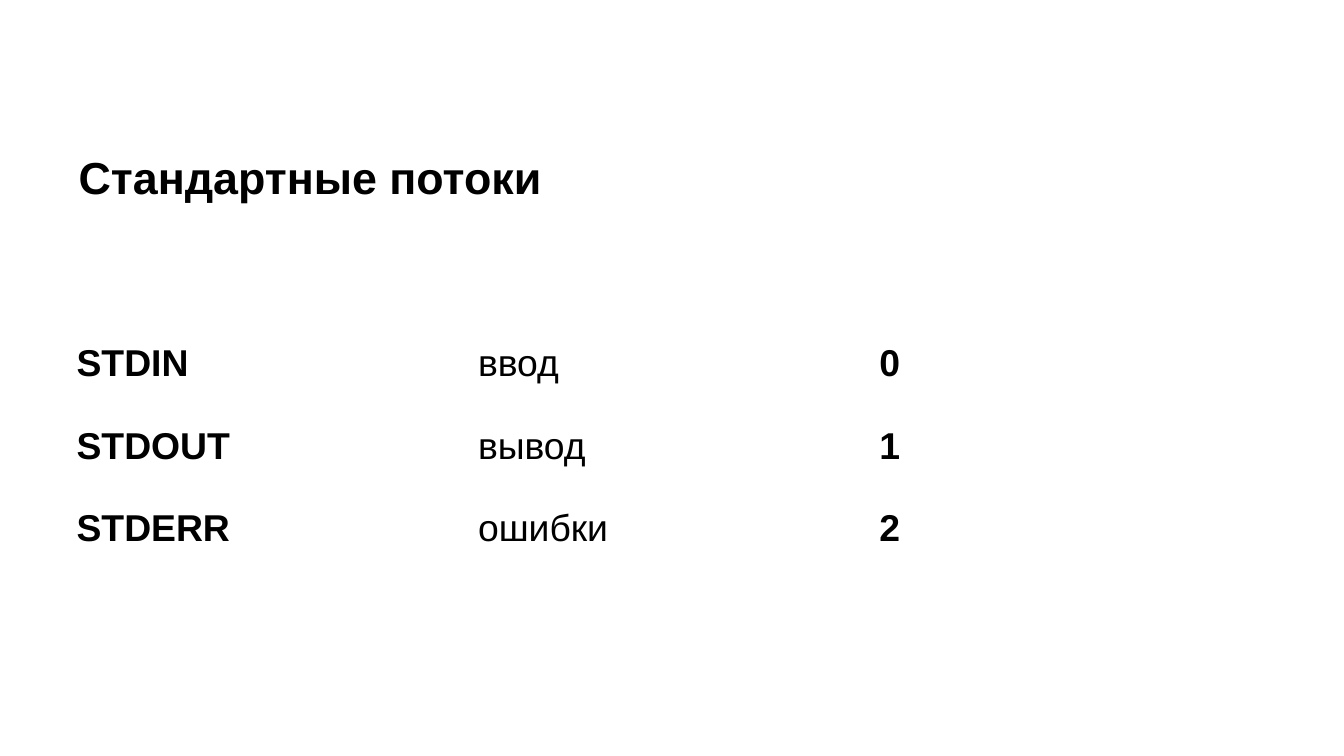
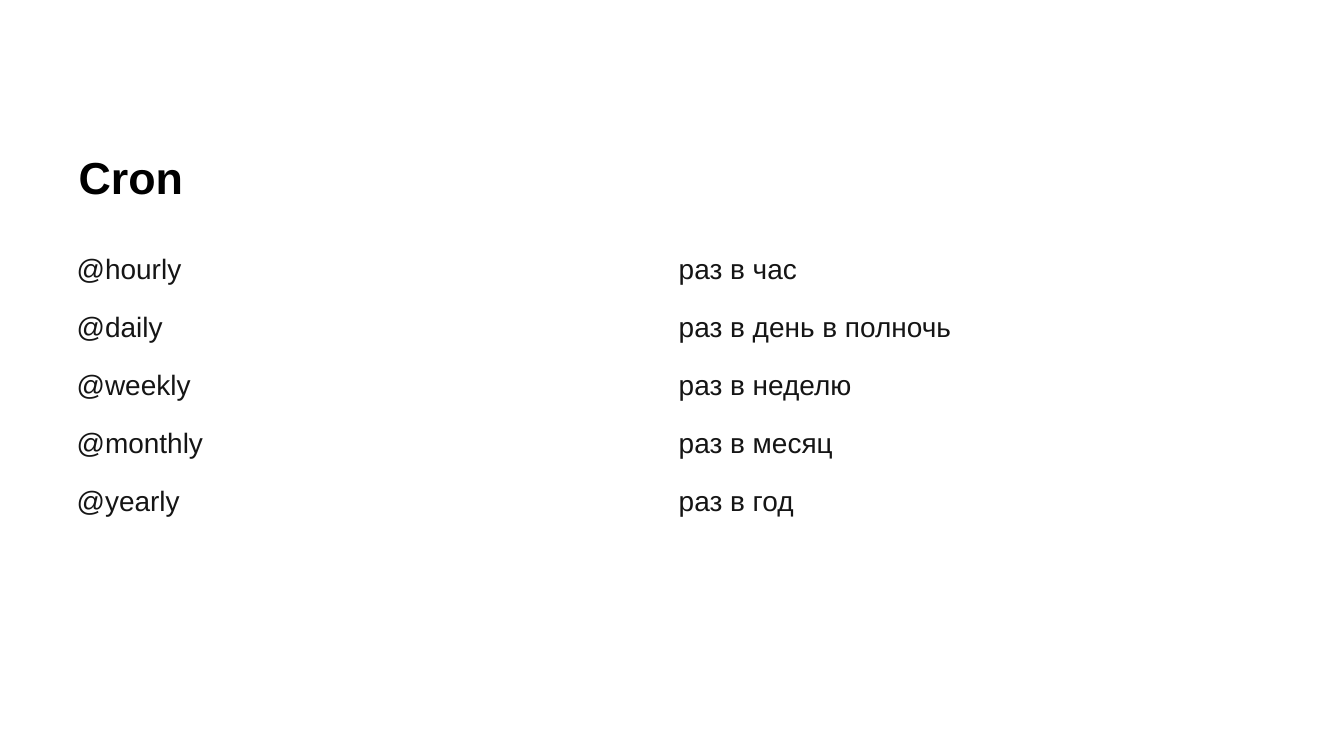
"""Builds two slides that pair a title with a plain reference table."""

import dataclasses
import typing

import pptx
import pptx.dml.color
import pptx.enum.text
import pptx.presentation
import pptx.slide
import pptx.text.text
import pptx.util
from pptx.util import Inches


@dataclasses.dataclass(frozen=True)
class TextStyle:
    size: int
    color: str
    line_spacing: typing.Optional[float] = None
    space_after: int = 0


@dataclasses.dataclass(frozen=True)
class Theme:
    font: str = "Arial"
    title: TextStyle = TextStyle(48, "000000")
    streams: TextStyle = TextStyle(40, "000000")
    schedule: TextStyle = TextStyle(30, "151515", line_spacing=1.43, space_after=8)


@dataclasses.dataclass(frozen=True)
class ReferenceTable:
    title: str
    top: float
    row_height: float
    style: TextStyle
    rows: tuple[tuple[str, ...], ...]
    bold_columns: tuple[int, ...] = ()


THEME = Theme()
TABLE_LEFT = Inches(1.04)
TABLE_WIDTH = Inches(17.92)
CELL_MARGIN = Inches(0.1)

STREAMS = ReferenceTable(
    title="Стандартные потоки",
    top=5,
    row_height=1.23,
    style=THEME.streams,
    rows=(("STDIN", "ввод", "0"), ("STDOUT", "вывод", "1"), ("STDERR", "ошибки", "2")),
    bold_columns=(0, 2),
)
SCHEDULE = ReferenceTable(
    title="Сron",
    top=3.48,
    row_height=0.42,
    style=THEME.schedule,
    rows=(
        ("@hourly", "раз в час"),
        ("@daily", "раз в день в полночь"),
        ("@weekly", "раз в неделю"),
        ("@monthly", "раз в месяц"),
        ("@yearly", "раз в год"),
    ),
)


def write_text(frame: pptx.text.text.TextFrame, text: str, style: TextStyle, bold: bool) -> None:
    frame.text = text
    paragraph = frame.paragraphs[0]
    paragraph.alignment = pptx.enum.text.PP_ALIGN.LEFT
    if style.line_spacing:
        paragraph.line_spacing = style.line_spacing
    paragraph.space_after = pptx.util.Pt(style.space_after)
    for run in paragraph.runs:
        run.font.name = THEME.font
        run.font.size = pptx.util.Pt(style.size)
        run.font.bold = bold
        run.font.color.rgb = pptx.dml.color.RGBColor.from_string(style.color)


def add_title(slide: pptx.slide.Slide, text: str) -> None:
    title = slide.shapes.title
    title.left, title.top = Inches(1.17), Inches(2.23)
    title.width, title.height = Inches(17.44), Inches(1.61)
    frame = title.text_frame
    frame.margin_left = frame.margin_right = frame.margin_top = frame.margin_bottom = 0
    frame.vertical_anchor = pptx.enum.text.MSO_ANCHOR.TOP
    frame.auto_size = pptx.enum.text.MSO_AUTO_SIZE.NONE
    frame.word_wrap = True
    write_text(frame, text, THEME.title, bold=True)


def add_reference_table(slide: pptx.slide.Slide, reference: ReferenceTable) -> None:
    row_height = Inches(reference.row_height)
    table = slide.shapes.add_table(
        len(reference.rows), len(reference.rows[0]), TABLE_LEFT, Inches(reference.top),
        TABLE_WIDTH, row_height * len(reference.rows),
    ).table
    table.first_row = False
    table.horz_banding = False
    for row_index, row in enumerate(reference.rows):
        for column_index, text in enumerate(row):
            cell = table.cell(row_index, column_index)
            cell.fill.background()
            cell.margin_left = cell.margin_right = CELL_MARGIN
            cell.margin_top = cell.margin_bottom = CELL_MARGIN
            cell.vertical_anchor = pptx.enum.text.MSO_ANCHOR.TOP
            write_text(cell.text_frame, text, reference.style, column_index in reference.bold_columns)


def add_reference_slide(
    presentation: pptx.presentation.Presentation, reference: ReferenceTable
) -> None:
    title_only = presentation.slide_layouts.get_by_name("Title Only")
    slide = presentation.slides.add_slide(title_only)
    add_title(slide, reference.title)
    add_reference_table(slide, reference)


def main() -> None:
    presentation = pptx.Presentation()
    presentation.slide_width = Inches(20)
    presentation.slide_height = Inches(11.25)
    for reference in (STREAMS, SCHEDULE):
        add_reference_slide(presentation, reference)
    presentation.save("out.pptx")


if __name__ == "__main__":
    main()
